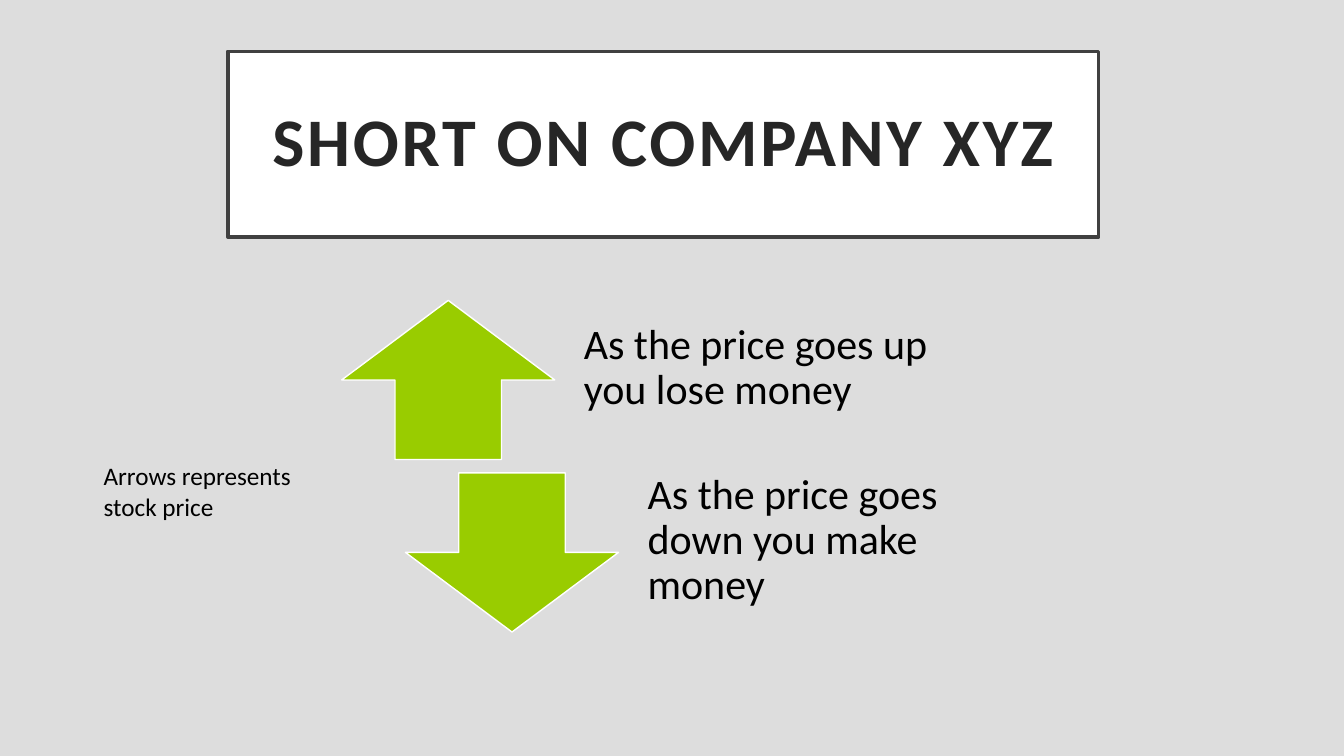
from collections import namedtuple

from pptx import Presentation
from pptx import util as u
from pptx.dml.color import RGBColor
from pptx.enum import shapes, text

BACKGROUND = RGBColor(0xDD, 0xDD, 0xDD)
WHITE = RGBColor(0xFF, 0xFF, 0xFF)
BLACK = RGBColor(0, 0, 0)
TITLE_BORDER = RGBColor(0x40, 0x40, 0x40)
TITLE_TEXT = RGBColor(0x26, 0x26, 0x26)
ARROW_GREEN = RGBColor(0x99, 0xCC, 0x00)
FONT = "Calibri"

# Lengths in inches
Box = namedtuple("Box", "left top width height")
SLIDE = Box(0, 0, 13.333, 7.5)
TITLE = Box(2.26, 0.51, 8.64, 1.84)
ARROWS = Box(3.39, 2.98, 7.19, 3.29)
NOTE = Box(0.93, 4.52, 2.38, 0.71)


def part(box, left, top, width, height):
    """Return a part of a box, given as shares of its size."""
    return Box(box.left + left * box.width, box.top + top * box.height,
               width * box.width, height * box.height)


def inches(box):
    return [u.Inches(length) for length in box]


def write(shape, words, size, color=BLACK, bold=False, align=text.PP_ALIGN.LEFT,
          anchor=text.MSO_ANCHOR.TOP, insets=(0.1, 0.05, 0.1, 0.05),
          line_spacing=1.0, letter_spacing=None):
    frame = shape.text_frame
    frame.word_wrap = True
    frame.auto_size = text.MSO_AUTO_SIZE.NONE
    frame.vertical_anchor = anchor
    (frame.margin_left, frame.margin_top,
     frame.margin_right, frame.margin_bottom) = inches(insets)
    paragraph = frame.paragraphs[0]
    paragraph.alignment = align
    paragraph.line_spacing = line_spacing
    run = paragraph.add_run()
    run.text = words
    run.font.name = FONT
    run.font.size = u.Pt(size)
    run.font.bold = bold
    run.font.color.rgb = color
    if letter_spacing is not None:
        run.font._element.set("spc", str(int(letter_spacing * 100)))


def paint(shape, fill, line, width):
    shape.fill.solid()
    shape.fill.fore_color.rgb = fill
    shape.line.color.rgb = line
    shape.line.width = u.Pt(width)


def format_title(slide, box):
    title = slide.shapes.title
    title.left, title.top, title.width, title.height = inches(box)
    paint(title, WHITE, TITLE_BORDER, 2.5)
    write(title, "SHORT ON COMPANY XYZ", 48.6, color=TITLE_TEXT, bold=True,
          align=text.PP_ALIGN.CENTER, anchor=text.MSO_ANCHOR.MIDDLE,
          insets=(0.2,) * 4, line_spacing=0.9, letter_spacing=2)


def add_price_arrows(slide, box):
    rows = [
        (shapes.MSO_SHAPE.UP_ARROW, "As the price goes up you lose money"),
        (shapes.MSO_SHAPE.DOWN_ARROW, "As the price goes down you make money"),
    ]
    group = slide.shapes.add_group_shape()
    for index, (kind, words) in enumerate(rows):
        # Each row steps down and to the right
        row = part(box, 0.088 * index, 0.52 * index, 0.91, 0.48)
        arrow = group.shapes.add_shape(kind, *inches(part(row, 0, 0, 0.323, 1)))
        arrow.shadow.inherit = False
        paint(arrow, ARROW_GREEN, WHITE, 1)
        label = group.shapes.add_textbox(*inches(part(row, 0.332, 0, 0.665, 1)))
        write(label, words, 30, anchor=text.MSO_ANCHOR.MIDDLE,
              insets=(0.23, 0, 0.23, 0.23), line_spacing=0.9)


def add_note(slide, box):
    note = slide.shapes.add_textbox(*inches(box))
    write(note, "Arrows represents stock price", 18)


presentation = Presentation()
presentation.slide_width = u.Inches(SLIDE.width)
presentation.slide_height = u.Inches(SLIDE.height)

# Title-only slide on a grey background
slide = presentation.slides.add_slide(presentation.slide_layouts[5])
slide.background.fill.solid()
slide.background.fill.fore_color.rgb = BACKGROUND

format_title(slide, TITLE)
add_price_arrows(slide, ARROWS)
add_note(slide, NOTE)

presentation.save("out.pptx")
